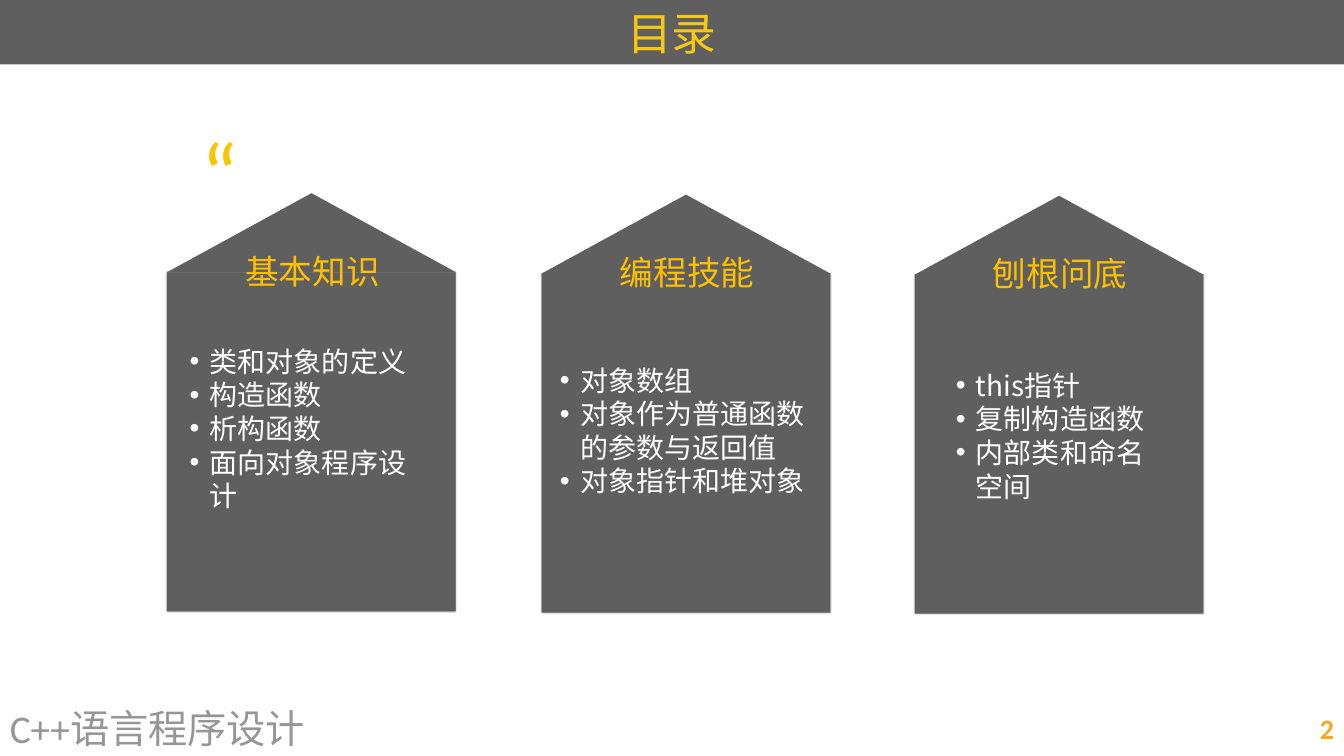
from lxml import etree
from pptx import Presentation
from pptx.dml.color import RGBColor
from pptx.enum.shapes import MSO_SHAPE
from pptx.enum.text import MSO_ANCHOR, MSO_AUTO_SIZE, PP_ALIGN
from pptx.oxml.ns import qn
from pptx.util import Pt

RECTANGLE = MSO_SHAPE.RECTANGLE
MIDDLE, BOTTOM = MSO_ANCHOR.MIDDLE, MSO_ANCHOR.BOTTOM
LEFT, CENTER, RIGHT = PP_ALIGN.LEFT, PP_ALIGN.CENTER, PP_ALIGN.RIGHT
FIXED, GROW = MSO_AUTO_SIZE.NONE, MSO_AUTO_SIZE.SHAPE_TO_FIT_TEXT

COLORS = {"slate": "5F5F5F", "title": "F6C813", "footer": "969696", "number": "F8A720",
          "quote": "F6C700", "heading": "FFC000", "body": "FFFFFF", "shadow": "000000"}
LATIN, CHINESE = "Calibri", "Noto Sans CJK SC"
WIDTH, HEIGHT = 960, 540
BAR_HEIGHT, FOOTER_HEIGHT = 46, 39.6
HOUSE_WIDTH, HOUSE_HEIGHT, ROOF_HEIGHT = 207, 298.4, 56.6
INSET, INDENT = 4.5, 14.4

# Each house: left, top, heading, list box (offset x, offset y, width), items
HOUSES = [
    (119, 138, "基本知识", (12, 115.4, 183),
     ["类和对象的定义", "构造函数", "析构函数", "面向对象程序设计"]),
    (386.5, 139, "编程技能", (9, 115.8, 186.5),
     ["对象数组", "对象作为普通函数的参数与返回值", "对象指针和堆对象"]),
    (653, 139.8, "刨根问底", (25.2, 118.7, 157),
     ["this指针", "复制构造函数", "内部类和命名空间"]),
]


def apply(target, values):
    for name, value in values.items():
        setattr(target, name, value)


def paint(shape, color):
    shape.fill.solid()
    shape.fill.fore_color.rgb = RGBColor.from_string(COLORS[color])
    shape.line.fill.background()


def add_bullet(para):
    props = para._p.get_or_add_pPr()
    props.set("marL", str(Pt(INDENT)))
    props.set("indent", str(-Pt(INDENT)))
    etree.SubElement(props, qn("a:buFont")).set("typeface", "Arial")
    etree.SubElement(props, qn("a:buChar")).set("char", "•")


def write(shape, lines, size, color, font=LATIN, align=LEFT, anchor=MIDDLE,
          inset=None, fit=FIXED, bold=False, bullets=False, spacing=None):
    frame = shape.text_frame
    apply(frame, {"word_wrap": True, "auto_size": fit, "vertical_anchor": anchor})
    if inset is not None:
        sides = ("left", "top", "right", "bottom")
        apply(frame, {f"margin_{side}": Pt(inset) for side in sides})
    for index, line in enumerate(lines):
        para = frame.add_paragraph() if index else frame.paragraphs[0]
        apply(para, {"alignment": align, "line_spacing": spacing})
        if bullets:
            para.level = 1
            add_bullet(para)
        span = para.add_run()
        span.text = line
        apply(span.font, {"size": Pt(size), "name": font, "bold": bold})
        span.font.color.rgb = RGBColor.from_string(COLORS[color])
        east_asian = etree.SubElement(span._r.get_or_add_rPr(), qn("a:ea"))
        east_asian.set("typeface", CHINESE)


def add_text(page, left, top, width, height, lines, size, color, **style):
    box = page.shapes.add_textbox(Pt(left), Pt(top), Pt(width), Pt(height))
    write(box, lines, size, color, **style)


def add_title(page, left, top, width, height):
    title = page.shapes.title
    apply(title, {"left": Pt(left), "top": Pt(top), "width": Pt(width), "height": Pt(height)})
    paint(title, "slate")
    write(title, ["目录"], 32, "title", align=CENTER)


def add_footer(page, left, top, width, height):
    number_width = 272
    add_text(page, left, top, 632, height, ["C++语言程序设计"], 28, "footer")
    add_text(page, left + width - number_width, top, number_width, height,
             ["2"], 20, "number", align=RIGHT, bold=True)


def add_soft_shadow(shape):
    shape.shadow.inherit = False
    effects = shape._element.spPr.find(qn("a:effectLst"))
    shadow = etree.SubElement(effects, qn("a:outerShdw"), blurRad=str(Pt(1)),
                              dist="0", dir="5400000", rotWithShape="0")
    tint = etree.SubElement(shadow, qn("a:srgbClr"), val=COLORS["shadow"])
    etree.SubElement(tint, qn("a:alpha"), val="50000")


def add_house(page, left, top, width, height, heading, list_box, items):
    """Draw a wall with a gabled roof, then the heading and bullet list on it."""
    eaves = top + ROOF_HEIGHT
    wall = page.shapes.add_shape(RECTANGLE, Pt(left + 0.4), Pt(eaves),
                                 Pt(width - 1), Pt(height - ROOF_HEIGHT))
    paint(wall, "slate")
    add_soft_shadow(wall)

    outline = page.shapes.build_freeform(Pt(left + width / 2), Pt(top))
    outline.add_line_segments([(Pt(left + width), Pt(eaves)), (Pt(left), Pt(eaves))])
    roof = outline.convert_to_shape()
    paint(roof, "slate")
    roof.shadow.inherit = False

    shift_x, shift_y, list_width = list_box
    style = {"font": CHINESE, "inset": INSET, "fit": GROW}
    add_text(page, left + shift_x, top + shift_y, list_width, 105, items, 20, "body",
             bullets=True, **style)
    add_text(page, left + 51.8, top + 36.8, 114, 37.4, [heading], 24, "heading", **style)


def add_quote_mark(page, left, top, width, height):
    add_text(page, left, top, width, height, ["“"], 62.5, "quote",
             anchor=BOTTOM, inset=INSET, spacing=Pt(40))


def main():
    deck = Presentation()
    apply(deck, {"slide_width": Pt(WIDTH), "slide_height": Pt(HEIGHT)})
    page = deck.slides.add_slide(deck.slide_layouts.get_by_name("Title Only"))
    add_title(page, 0, 0, WIDTH, BAR_HEIGHT)
    add_footer(page, 0, HEIGHT - FOOTER_HEIGHT, WIDTH, FOOTER_HEIGHT)
    for left, top, heading, list_box, items in HOUSES:
        add_house(page, left, top, HOUSE_WIDTH, HOUSE_HEIGHT, heading, list_box, items)
    add_quote_mark(page, 139.7, 127.4, 59, 36.7)
    deck.save("out.pptx")


if __name__ == "__main__":
    main()
